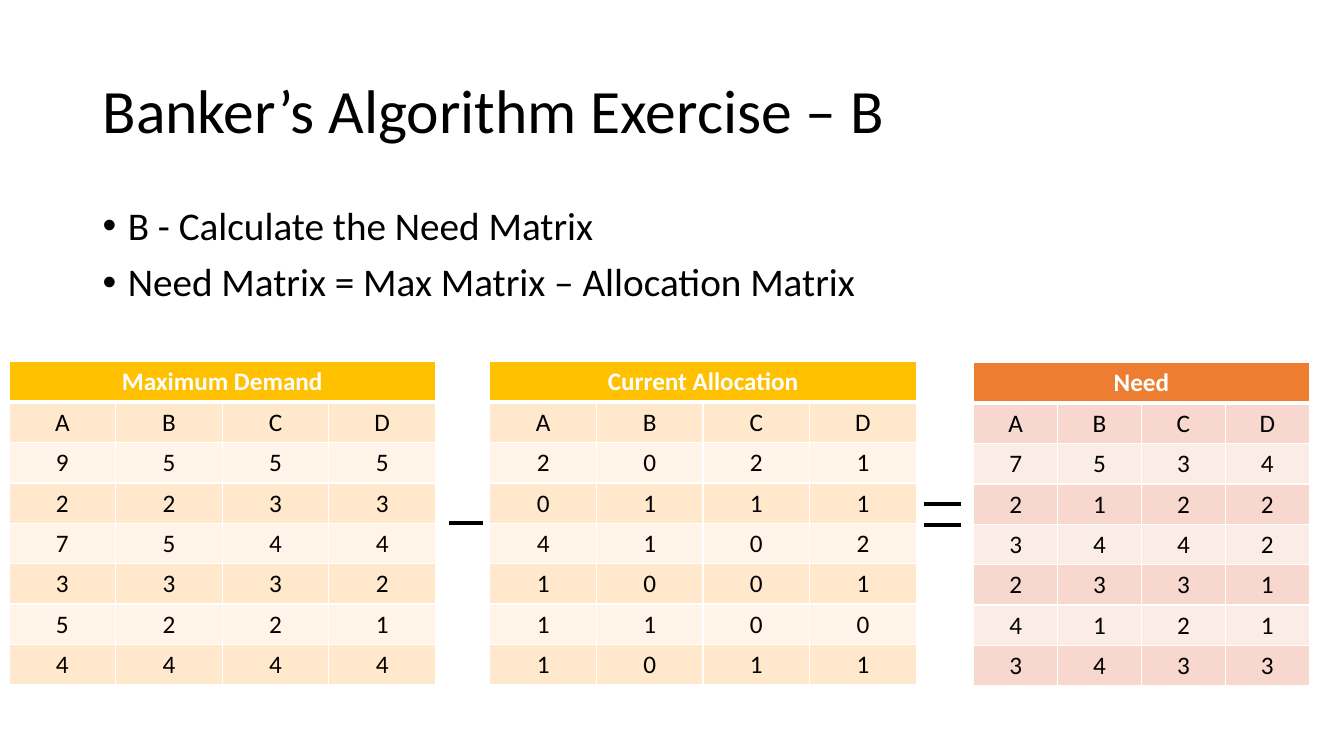
from dataclasses import dataclass
from typing import Any

import lxml.etree
import pptx
import pptx.dml.color
import pptx.enum.shapes
import pptx.enum.text
import pptx.oxml
import pptx.oxml.ns
import pptx.util

Pt = pptx.util.Pt
FONT = "Calibri"
BLACK = "000000"
WHITE = "FFFFFF"
RESOURCES = "ABCD"
TABLE_HEIGHT = 230.4


@dataclass(frozen=True)
class Matrix:
    heading: str
    left: float
    top: float
    width: float
    heading_fill: str
    band_fills: tuple[str, str]
    rows: tuple[str, ...]


@dataclass(frozen=True)
class OperatorBar:
    left: float
    right: float
    height: float


@dataclass(frozen=True)
class TextBlock:
    top: float
    height: float
    size: float
    anchor: pptx.enum.text.MSO_ANCHOR
    lines: tuple[str, ...]
    bulleted: bool


AMBER = ("FFE8CC", "FFF4E7")
ROSE = ("F8D7CE", "FCECE8")

TEXT_BLOCKS = (
    TextBlock(28.8, 104.4, 44, pptx.enum.text.MSO_ANCHOR.MIDDLE,
              ("Banker’s Algorithm Exercise – B",), False),
    TextBlock(144, 342.72, 28, pptx.enum.text.MSO_ANCHOR.TOP,
              ("B - Calculate the Need Matrix",
               "Need Matrix = Max Matrix – Allocation Matrix"), True),
)
MATRICES = (
    Matrix("Current Allocation", 349.92, 258.48, 304.56, "FFC000", AMBER,
           ("2021", "0111", "4102", "1001", "1100", "1011")),
    Matrix("Maximum Demand", 6.48, 258.48, 304.56, "FFC000", AMBER,
           ("9555", "2233", "7544", "3332", "5221", "4444")),
    Matrix("Need", 695.52, 259.2, 239.76, "ED7D31", ROSE,
           ("7534", "2122", "3442", "2331", "4121", "3433")),
)
OPERATOR_BARS = (
    OperatorBar(320.4, 344.88, 373.68),
    OperatorBar(660.24, 686.16, 360),
    OperatorBar(660.24, 686.16, 375.12),
)


def color(value: str) -> pptx.dml.color.RGBColor:
    return pptx.dml.color.RGBColor.from_string(value)


def apply_format(target: Any, values: dict[str, Any]) -> None:
    for name, value in values.items():
        setattr(target, name, value)


def write_run(paragraph: Any, text: str, size: float, ink: str, bold: bool = False) -> None:
    run = paragraph.add_run()
    run.text = text
    apply_format(run.font, {"name": FONT, "size": Pt(size), "bold": bold})
    run.font.color.rgb = color(ink)


def add_bullet(paragraph: Any) -> None:
    properties = paragraph._p.get_or_add_pPr()
    properties.set("marL", str(Pt(18)))
    properties.set("indent", str(Pt(-18)))
    for tag, key, value in (("a:buFont", "typeface", "Arial"), ("a:buChar", "char", "•")):
        lxml.etree.SubElement(properties, pptx.oxml.ns.qn(tag)).set(key, value)


def add_text_block(slide: Any, block: TextBlock) -> None:
    frame = slide.shapes.add_textbox(Pt(66.24), Pt(block.top), Pt(828), Pt(block.height)).text_frame
    apply_format(frame, {"word_wrap": True, "vertical_anchor": block.anchor})
    for index, line in enumerate(block.lines):
        paragraph = frame.add_paragraph() if index else frame.paragraphs[0]
        if block.bulleted:
            add_bullet(paragraph)
        apply_format(paragraph, {"line_spacing": 0.9, "space_before": Pt(10 if index else 0)})
        write_run(paragraph, line, block.size, BLACK)


def add_borders(cell: Any, top: float, bottom: float) -> None:
    properties = cell._tc.get_or_add_tcPr()
    widths = {"lnL": 1, "lnR": 1, "lnT": top, "lnB": bottom}
    for index, (side, width) in enumerate(widths.items()):
        border = pptx.oxml.parse_xml(
            f'<a:{side} {pptx.oxml.ns.nsdecls("a")} w="{Pt(width)}"><a:solidFill>'
            f'<a:srgbClr val="{WHITE}"/></a:solidFill></a:{side}>')
        properties.insert(index, border)


def add_matrix(slide: Any, matrix: Matrix) -> None:
    rows = (RESOURCES, *matrix.rows)
    table = slide.shapes.add_table(
        len(rows) + 1, len(RESOURCES), Pt(matrix.left), Pt(matrix.top),
        Pt(matrix.width), Pt(TABLE_HEIGHT)).table
    apply_format(table, {"first_row": False, "horz_banding": False})
    heading = (matrix.heading, *[""] * (len(RESOURCES) - 1))
    table.cell(0, 0).merge(table.cell(0, len(RESOURCES) - 1))
    for row_index, values in enumerate((heading, *rows)):
        is_heading = row_index == 0
        fill = matrix.heading_fill if is_heading else matrix.band_fills[(row_index - 1) % 2]
        for column, value in enumerate(values):
            cell = table.cell(row_index, column)
            cell.fill.solid()
            cell.fill.fore_color.rgb = color(fill)
            add_borders(cell, 3 if row_index == 1 else 1, 3 if is_heading else 1)
            if value:
                paragraph = cell.text_frame.paragraphs[0]
                paragraph.alignment = pptx.enum.text.PP_ALIGN.CENTER
                write_run(paragraph, value, 18, WHITE if is_heading else BLACK, is_heading)


def add_operator_bar(slide: Any, bar: OperatorBar) -> None:
    connector = slide.shapes.add_connector(
        pptx.enum.shapes.MSO_CONNECTOR.STRAIGHT,
        Pt(bar.left), Pt(bar.height), Pt(bar.right), Pt(bar.height))
    connector.line.width = Pt(3)
    connector.line.color.rgb = color(BLACK)
    lxml.etree.SubElement(connector._element.spPr, pptx.oxml.ns.qn("a:effectLst"))


def main() -> None:
    presentation = pptx.Presentation()
    apply_format(presentation, {"slide_width": Pt(960), "slide_height": Pt(540)})
    slide = presentation.slides.add_slide(presentation.slide_layouts[6])
    for block in TEXT_BLOCKS:
        add_text_block(slide, block)
    for matrix in MATRICES:
        add_matrix(slide, matrix)
    for bar in OPERATOR_BARS:
        add_operator_bar(slide, bar)
    presentation.save("out.pptx")


if __name__ == "__main__":
    main()
